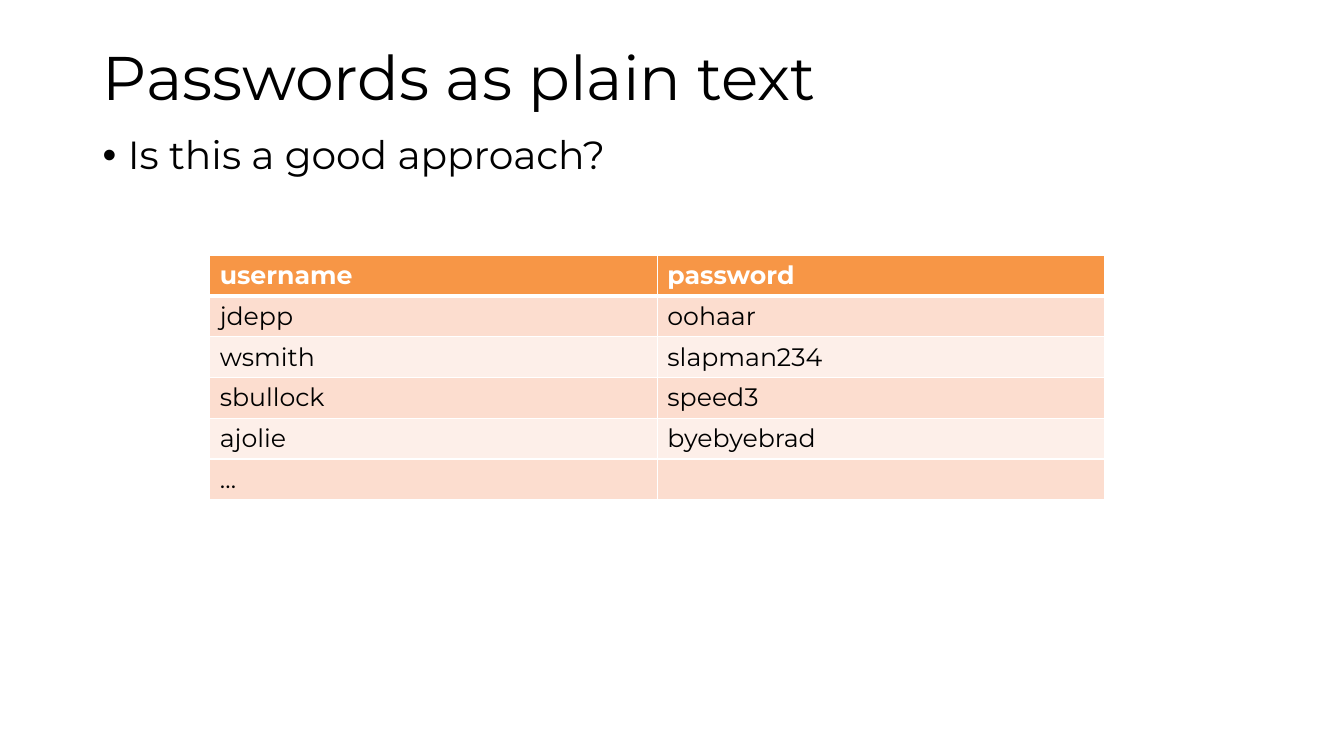
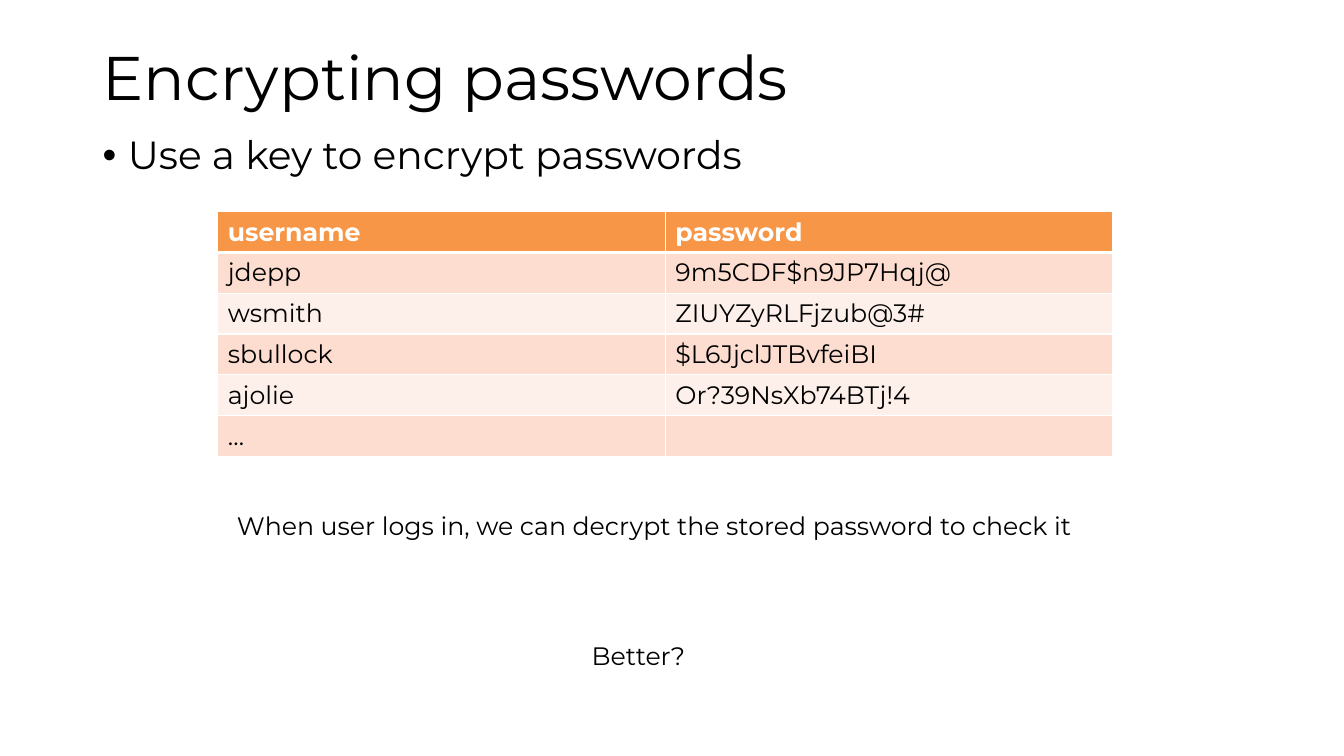
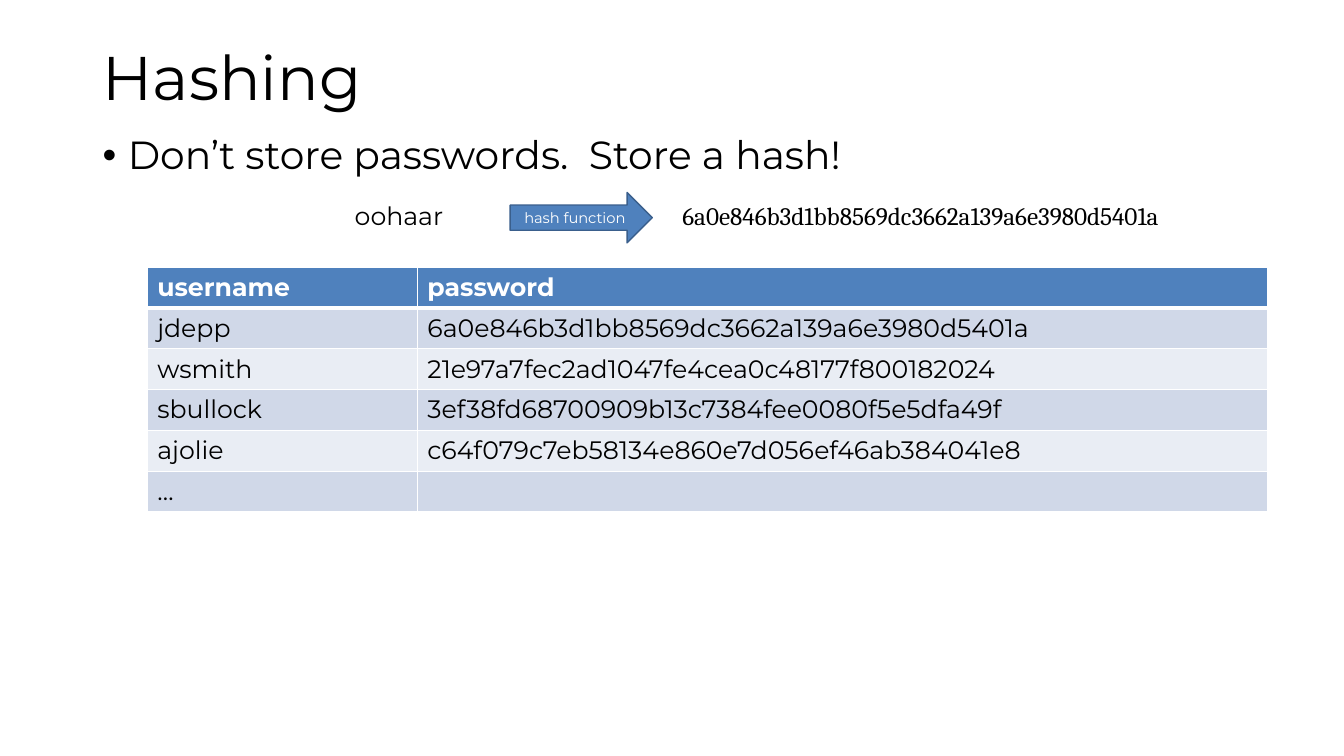
from dataclasses import dataclass

from lxml import etree
from pptx import Presentation
from pptx.dml.color import RGBColor
from pptx.enum.shapes import MSO_SHAPE
from pptx.enum.text import MSO_ANCHOR, PP_ALIGN
from pptx.oxml.ns import qn
from pptx.util import Inches, Pt

RIGHT_ARROW = MSO_SHAPE.RIGHT_ARROW
MIDDLE = MSO_ANCHOR.MIDDLE
CENTER = PP_ALIGN.CENTER
BLANK_LAYOUT = 6


@dataclass(frozen=True)
class Theme:
    font: str = "Montserrat"
    hash_font: str = "Cambria"
    title_size: float = 44
    bullet_size: float = 28
    text_size: float = 18
    arrow_size: float = 10.5
    black: str = "000000"
    white: str = "FFFFFF"
    blue: str = "4F81BD"
    blue_line: str = "3A5F8C"
    # Table colours: header, odd rows, even rows
    orange_table: tuple = ("F79646", "FCDDCF", "FDEFE9")
    blue_table: tuple = ("4F81BD", "D0D8E8", "E9EDF4")
    border: float = 1
    header_border: float = 3


THEME = Theme()
MARGIN, CONTENT_WIDTH = 0.92, 11.5
ROW_HEIGHT = 0.405
USERS = ("jdepp", "wsmith", "sbullock", "ajolie", "…")


def write_text(frame, text, size=THEME.text_size, color=THEME.black,
               font=THEME.font, bold=False):
    frame.text = text
    para = frame.paragraphs[0]
    for style in [para.font] + [span.font for span in para.runs]:
        style.name = font
        style.size = Pt(size)
        style.bold = bold
        style.color.rgb = RGBColor.from_string(color)
    return para


def add_text(page, text, left, top, width, height=0.4, wrap=True, **style):
    box = page.shapes.add_textbox(
        Inches(left), Inches(top), Inches(width), Inches(height))
    box.text_frame.word_wrap = wrap
    write_text(box.text_frame, text, **style)
    return box.text_frame


def add_bullet(para, indent):
    properties = para._p.get_or_add_pPr()
    properties.set("marL", str(Inches(indent)))
    properties.set("indent", str(-Inches(indent)))
    etree.SubElement(properties, qn("a:buFont"), typeface="Arial")
    etree.SubElement(properties, qn("a:buChar"), char="•")


def add_page(deck, title, bullet, bullet_height=5.91):
    page = deck.slides.add_slide(deck.slide_layouts[BLANK_LAYOUT])
    heading = add_text(page, title, MARGIN, 0.4, CONTENT_WIDTH, 0.79,
                       size=THEME.title_size)
    heading.vertical_anchor = MIDDLE
    heading.paragraphs[0].line_spacing = 0.9
    body = add_text(page, bullet, MARGIN, 1.3, CONTENT_WIDTH, bullet_height,
                    size=THEME.bullet_size)
    para = body.paragraphs[0]
    para.line_spacing = 0.9
    para.space_before = Pt(10)
    add_bullet(para, 0.25)
    return page


def set_borders(cell, top, bottom):
    """Draw white cell edges; must run before the cell gets its fill."""
    properties = cell._tc.get_or_add_tcPr()
    widths = {"lnL": THEME.border, "lnR": THEME.border,
              "lnT": top, "lnB": bottom}
    for edge, width in widths.items():
        line = etree.SubElement(properties, qn(f"a:{edge}"), w=str(Pt(width)))
        fill = etree.SubElement(line, qn("a:solidFill"))
        etree.SubElement(fill, qn("a:srgbClr"), val=THEME.white)


def add_password_table(page, left, top, widths, colors, passwords):
    rows = [("username", "password"), *zip(USERS, (*passwords, ""))]
    table = page.shapes.add_table(
        len(rows), len(widths), Inches(left), Inches(top),
        Inches(sum(widths)), Inches(ROW_HEIGHT * len(rows))).table
    for column, width in zip(table.columns, widths):
        column.width = Inches(width)
    header_color, *bands = colors
    for row_index, row in enumerate(rows):
        table.rows[row_index].height = Inches(ROW_HEIGHT)
        header = row_index == 0
        color = header_color if header else bands[(row_index - 1) % 2]
        for column_index, text in enumerate(row):
            cell = table.cell(row_index, column_index)
            set_borders(
                cell,
                top=THEME.header_border if row_index == 1 else THEME.border,
                bottom=THEME.header_border if header else THEME.border)
            cell.fill.solid()
            cell.fill.fore_color.rgb = RGBColor.from_string(color)
            write_text(cell.text_frame, text, bold=header,
                       color=THEME.white if header else THEME.black)


def add_arrow(page, text, left, top, width, height):
    arrow = page.shapes.add_shape(
        RIGHT_ARROW, Inches(left), Inches(top), Inches(width), Inches(height))
    arrow.shadow.inherit = False
    arrow.fill.solid()
    arrow.fill.fore_color.rgb = RGBColor.from_string(THEME.blue)
    arrow.line.color.rgb = RGBColor.from_string(THEME.blue_line)
    arrow.line.width = Pt(1)
    arrow.text_frame.vertical_anchor = MIDDLE
    para = write_text(arrow.text_frame, text, THEME.arrow_size, THEME.white)
    para.alignment = CENTER


def build_plain_text(deck):
    page = add_page(deck, "Passwords as plain text", "Is this a good approach?")
    add_password_table(page, 2.08, 2.53, (4.44, 4.44), THEME.orange_table,
                       ("oohaar", "slapman234", "speed3", "byebyebrad"))


def build_encryption(deck):
    page = add_page(deck, "Encrypting passwords",
                    "Use a key to encrypt passwords")
    add_password_table(page, 2.16, 2.1, (4.44, 4.44), THEME.orange_table,
                       ("9m5CDF$n9JP7Hqj@", "ZIUYZyRLFjzub@3#",
                        "$L6JjclJTBvfeiBI", "Or?39NsXb74BTj!4"))
    add_text(page, "Better?", 5.77, 6.3, 1.15, wrap=False)
    add_text(page, "When user logs in, we can decrypt the stored password "
             "to check it", 2.25, 5.01, 8.59, wrap=False)


def build_hashing(deck):
    hashes = ("6a0e846b3d1bb8569dc3662a139a6e3980d5401a",
              "21e97a7fec2ad1047fe4cea0c48177f800182024",
              "3ef38fd68700909b13c7384fee0080f5e5dfa49f",
              "c64f079c7eb58134e860e7d056ef46ab384041e8")
    page = add_page(deck, "Hashing", "Don’t store passwords.  Store a hash!",
                    bullet_height=0.57)
    add_password_table(page, 1.46, 2.65, (2.68, 8.43), THEME.blue_table, hashes)
    add_text(page, "oohaar", 3.42, 1.94, 1.44)
    add_arrow(page, "hash function", 5.06, 1.91, 1.41, 0.5)
    add_text(page, hashes[0], 6.67, 1.94, 6.37, font=THEME.hash_font)


def main():
    deck = Presentation()
    deck.slide_width = Inches(13.33)
    deck.slide_height = Inches(7.5)
    build_plain_text(deck)
    build_encryption(deck)
    build_hashing(deck)
    deck.save("out.pptx")


if __name__ == "__main__":
    main()
